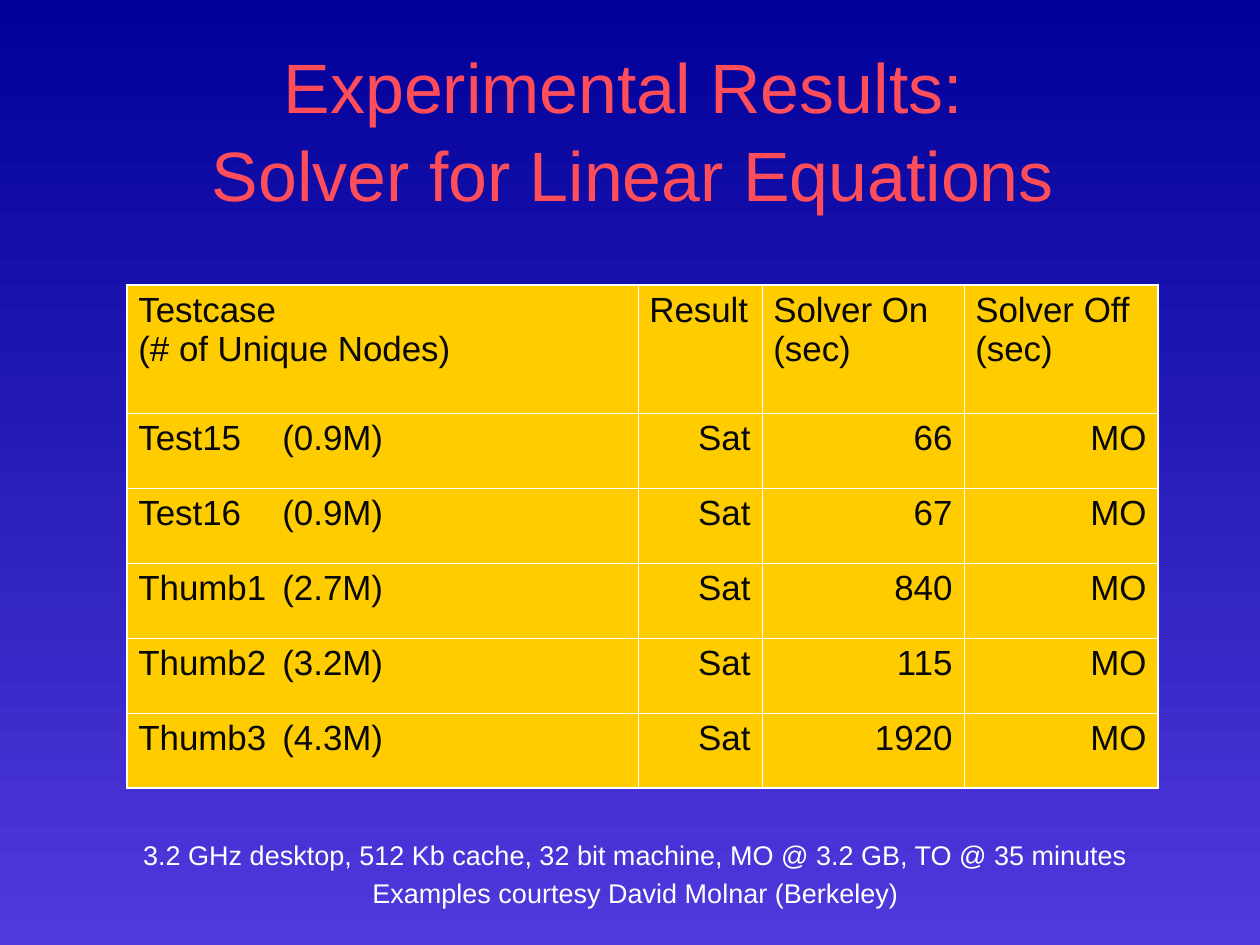
import pptx
import pptx.util
import pptx.dml.color
import pptx.enum.text
import pptx.oxml
import pptx.oxml.ns

RGB = pptx.dml.color.RGBColor
NAVY = RGB(0x01, 0x01, 0x99)
VIOLET = RGB(0x50, 0x39, 0xDD)
CORAL = RGB(0xFF, 0x4E, 0x5A)
GOLD = RGB(0xFF, 0xCC, 0x00)
INK = RGB(0x08, 0x08, 0x08)
WHITE = RGB(0xFF, 0xFF, 0xFF)

ALIGN = pptx.enum.text.PP_ALIGN
ANCHOR = pptx.enum.text.MSO_ANCHOR
FIT = pptx.enum.text.MSO_AUTO_SIZE
Pt = pptx.util.Pt

SCALE = 8000  # EMU in one px
THIN, THICK = 0.45, 1.08
TAB = 144

WIDTHS = [511, 124, 202, 194]
HEIGHTS = [128] + [75] * 5
ROWS = [
    ["Testcase\n(# of Unique Nodes)", "Result", "Solver On\n(sec)", "Solver Off\n(sec)"],
    ["Test15\t(0.9M)", "Sat", "66", "MO"],
    ["Test16\t(0.9M)", "Sat", "67", "MO"],
    ["Thumb1\t(2.7M)", "Sat", "840", "MO"],
    ["Thumb2\t(3.2M)", "Sat", "115", "MO"],
    ["Thumb3\t(4.3M)", "Sat", "1920", "MO"],
]
NOTES = [
    "3.2 GHz desktop, 512 Kb cache, 32 bit machine, MO @ 3.2 GB, TO @ 35 minutes",
    "Examples courtesy David Molnar (Berkeley)",
]


def px(n):
    return pptx.util.Emu(n * SCALE)


def make_xml(tag, body, attrs=""):
    space = pptx.oxml.ns.nsdecls("a")
    return pptx.oxml.parse_xml(f"<a:{tag} {space} {attrs}>{body}</a:{tag}>")


def add_run(para, text, size, color):
    run = para.add_run()
    run.text = text
    run.font.size = Pt(size)
    run.font.name = "Arial"
    run.font.color.rgb = color
    return run


def add_lines(frame, lines, size, color, align):
    """Write each line as a paragraph and return the paragraphs."""
    for i, line in enumerate(lines):
        para = frame.paragraphs[0] if i == 0 else frame.add_paragraph()
        para.alignment = align
        if "\t" in line:
            stop = f'<a:tab pos="{px(TAB)}" algn="l"/>'
            para._p.get_or_add_pPr().append(make_xml("tabLst", stop))
        add_run(para, line, size, color)
    return frame.paragraphs


def set_pads(frame, left, top, right, low):
    frame.margin_left, frame.margin_top = px(left), px(top)
    frame.margin_right, frame.margin_bottom = px(right), px(low)


def add_shade(run):
    """Give the letters a soft drop shadow."""
    glow = make_xml("effectLst", '<a:outerShdw dist="17961" dir="2700000">'
                    '<a:srgbClr val="808080"/></a:outerShdw>')
    fill = run._r.rPr.find(pptx.oxml.ns.qn("a:solidFill"))
    fill.addnext(glow)


def paint_back(slide):
    fill = slide.background.fill
    fill.gradient()
    fill.gradient_angle = 270
    for stop, color in zip(fill.gradient_stops, (NAVY, VIOLET)):
        stop.color.rgb = color


def fill_title(slide):
    title = slide.shapes.title
    title.left, title.top, title.width, title.height = map(px, (95, 38, 1077, 171))
    frame = title.text_frame
    frame.auto_size = FIT.NONE
    frame.vertical_anchor = ANCHOR.MIDDLE
    set_pads(frame, 12, 15, 12, 7)
    para = frame.paragraphs[0]
    para.alignment = ALIGN.CENTER
    para.line_spacing = 1.05
    add_shade(add_run(para, "Experimental Results: ", 44, CORAL))
    para.add_line_break()
    add_shade(add_run(para, "Solver for Linear Equations", 44, CORAL))


def draw_edges(cell, edges):
    """Rule the cell; edges are widths for left, right, top and bottom."""
    props = cell._tc.get_or_add_tcPr()
    paint = f'<a:solidFill><a:srgbClr val="{WHITE}"/></a:solidFill>'
    for i, (side, width) in enumerate(zip("LRTB", edges)):
        props.insert(i, make_xml(f"ln{side}", paint, f'w="{Pt(width)}"'))


def add_grid(slide):
    down, across = len(ROWS), len(WIDTHS)
    shape = slide.shapes.add_table(down, across, px(127), px(285),
                                   px(sum(WIDTHS)), px(sum(HEIGHTS)))
    table = shape.table
    table.first_row = table.horz_banding = False
    for col, width in zip(table.columns, WIDTHS):
        col.width = px(width)
    for row, height in zip(table.rows, HEIGHTS):
        row.height = px(height)
    for r, texts in enumerate(ROWS):
        for c, text in enumerate(texts):
            cell = table.cell(r, c)
            cell.fill.solid()
            cell.fill.fore_color.rgb = GOLD
            align = ALIGN.RIGHT if r and c else ALIGN.LEFT
            add_lines(cell.text_frame, text.split("\n"), 22, INK, align)
            outer = (c == 0, c == across - 1, r == 0, r == down - 1)
            draw_edges(cell, [THICK if edge else THIN for edge in outer])


def add_notes(slide):
    box = slide.shapes.add_textbox(px(29), px(848), px(1200), px(61))
    frame = box.text_frame
    frame.word_wrap = True
    set_pads(frame, 13, 0, 0, 0)
    paras = add_lines(frame, NOTES, 17, WHITE, ALIGN.CENTER)
    for para in paras:
        para.line_spacing = 0.67
    for para in paras[1:]:
        para.space_before = Pt(10.6)


def main():
    deck = pptx.Presentation()
    deck.slide_width, deck.slide_height = px(1260), px(945)
    slide = deck.slides.add_slide(deck.slide_layouts[5])
    paint_back(slide)
    fill_title(slide)
    add_grid(slide)
    add_notes(slide)
    deck.save("out.pptx")


if __name__ == "__main__":
    main()
